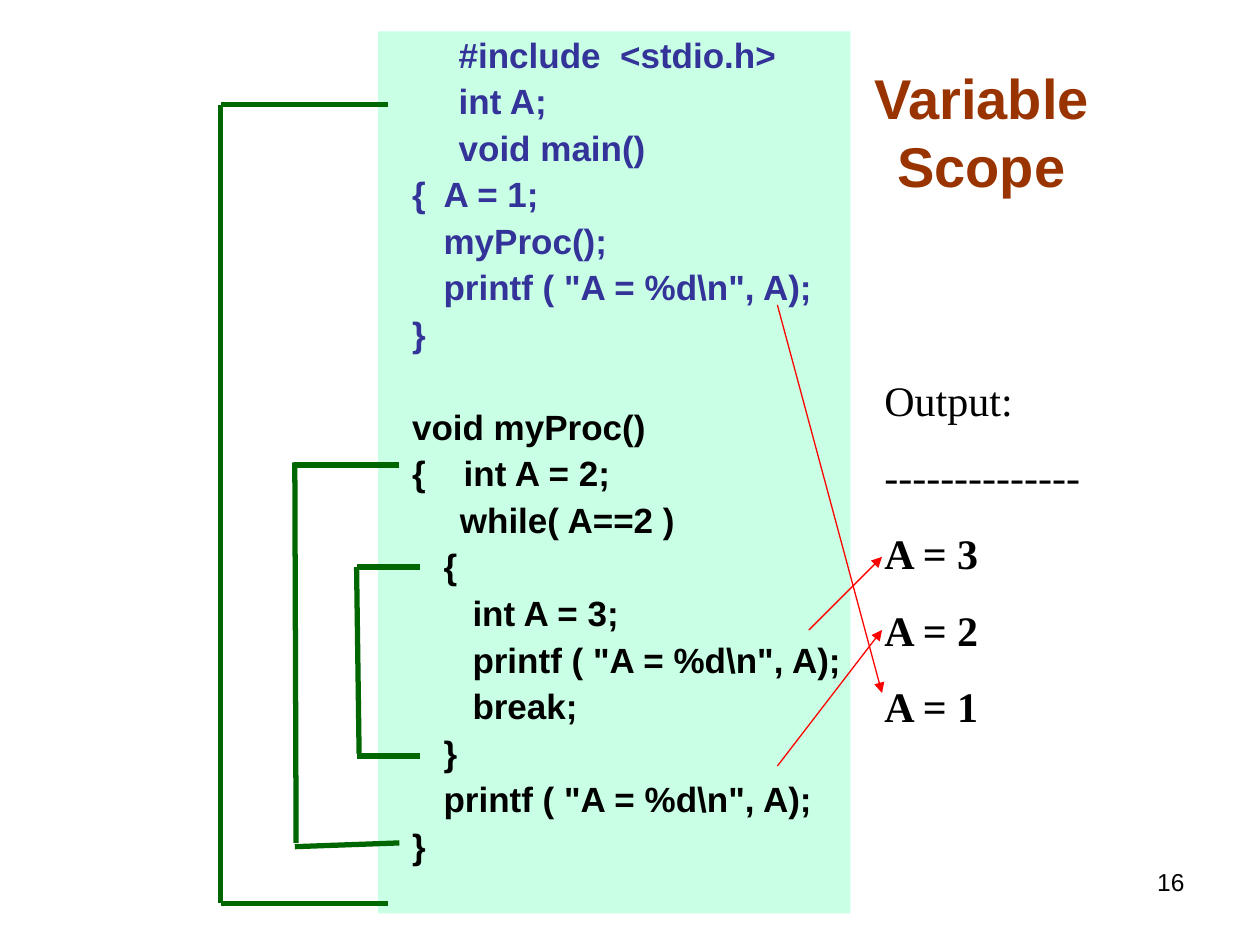
from lxml import etree
from pptx import Presentation
from pptx.dml.color import RGBColor
from pptx.enum.shapes import MSO_CONNECTOR, MSO_SHAPE
from pptx.enum.text import MSO_ANCHOR, MSO_AUTO_SIZE, PP_ALIGN
from pptx.oxml.ns import qn
from pptx.util import Inches, Pt

LEFT, CENTER, RIGHT = PP_ALIGN.LEFT, PP_ALIGN.CENTER, PP_ALIGN.RIGHT
TOP, MIDDLE = MSO_ANCHOR.TOP, MSO_ANCHOR.MIDDLE
NO_FIT = MSO_AUTO_SIZE.NONE
STRAIGHT = MSO_CONNECTOR.STRAIGHT
RECTANGLE = MSO_SHAPE.RECTANGLE

BLACK = RGBColor(0x00, 0x00, 0x00)
INDIGO = RGBColor(0x33, 0x33, 0x99)
RUST = RGBColor(0x99, 0x33, 0x00)
MINT = RGBColor(0xC9, 0xFF, 0xE4)
GREEN = RGBColor(0x00, 0x66, 0x00)
RED = RGBColor(0xFF, 0x00, 0x00)

TITLE = "Variable Scope"
PAGE_NUMBER = "16"
PRINT_LINE = 'printf ( "A = %d\\n", A);'
BRACE_INDENT = 1.0
LINE_GAP, FUNCTION_GAP = 5, 31.6

MAIN_CODE = [
    (1.37, "#include  <stdio.h>"),
    (1.37, "int A;"),
    (1.37, "void main()"),
    (1.25, "{\tA = 1;"),
    (1.25, "myProc();"),
    (1.25, PRINT_LINE),
    (1.0, "}"),
]
PROC_CODE = [
    (1.0, "void myProc()"),
    (1.41, "{\tint A = 2;"),
    (1.38, "while( A==2 )"),
    (1.25, "{"),
    (1.48, "int A = 3;"),
    (1.48, PRINT_LINE),
    (1.48, "break;"),
    (1.25, "}"),
    (1.25, PRINT_LINE),
    (1.0, "}"),
]
OUTPUT = [
    ("Output:", False),
    ("--------------", False),
    ("A = 3", True),
    ("A = 2", True),
    ("A = 1", True),
]
SCOPE_LINES = [
    (1.75, 0.83, 1.75, 7.17),
    (3.08, 0.83, 1.75, 0.83),
    (3.08, 7.17, 1.75, 7.17),
    (2.34, 3.67, 2.35, 6.69),
    (3.17, 3.69, 2.33, 3.69),
    (3.17, 6.69, 2.34, 6.72),
    (2.83, 4.5, 2.85, 5.98),
    (3.33, 4.5, 2.83, 4.5),
    (3.33, 6, 2.83, 6),
]
OUTPUT_ARROWS = [
    (6.17, 2.42, 7, 5.5),
    (6.42, 5, 7, 4.42),
    (6.17, 6.08, 7, 5),
]


def place(box, left, top, width, height, anchor=TOP):
    box.left, box.top = Inches(left), Inches(top)
    box.width, box.height = Inches(width), Inches(height)
    frame = box.text_frame
    frame.word_wrap = True
    frame.auto_size = NO_FIT
    frame.vertical_anchor = anchor
    return frame


def add_paragraph(frame, index, text):
    para = frame.paragraphs[0] if index == 0 else frame.add_paragraph()
    para.text = text
    return para


def format_text(para, size, color, bold=False, font="Arial", align=LEFT):
    para.alignment = align
    for span in para.runs:
        span.font.name = font
        span.font.size = Pt(size)
        span.font.bold = bold
        span.font.color.rgb = color


def indent_code(para, margin, hanging):
    properties = para._p.get_or_add_pPr()
    properties.set("marL", str(Inches(margin)))
    properties.set("indent", str(Inches(-hanging)))
    etree.SubElement(properties, qn("a:buNone"))


def add_line(page, ends, color, width, arrow=False):
    line = page.shapes.add_connector(STRAIGHT, *map(Inches, ends))
    line.line.color.rgb = color
    line.line.width = Pt(width)
    if arrow:
        outline = line.line._get_or_add_ln()
        etree.SubElement(outline, qn("a:tailEnd"), type="triangle")
    etree.SubElement(line.element.spPr, qn("a:effectLst"))


def add_code(frame):
    lines = [(INDIGO, *line) for line in MAIN_CODE]
    lines += [(BLACK, *line) for line in PROC_CODE]
    for index, (color, margin, text) in enumerate(lines):
        para = add_paragraph(frame, index, text)
        para.line_spacing = 0.9
        starts_proc = index == len(MAIN_CODE)
        para.space_before = Pt(FUNCTION_GAP if starts_proc else LINE_GAP)
        indent_code(para, margin, margin - BRACE_INDENT if "\t" in text else 0)
        format_text(para, 20, color, bold=True)


def main():
    deck = Presentation()
    deck.slide_width, deck.slide_height = Inches(10), Inches(7.5)
    page = deck.slides.add_slide(deck.slide_layouts[1])
    title, code = page.placeholders

    panel = page.shapes.add_shape(
        RECTANGLE, Inches(3), Inches(0.25), Inches(3.75), Inches(7))
    panel.shadow.inherit = False
    panel.fill.solid()
    panel.fill.fore_color.rgb = MINT
    panel.line.fill.background()
    title.element.addprevious(panel.element)

    frame = place(title, 6.25, 0.25, 3.08, 1.58, MIDDLE)
    frame.text = TITLE
    format_text(frame.paragraphs[0], 32, RUST, bold=True, align=CENTER)

    add_code(place(code, 2.17, 0.25, 4.83, 6.92))

    output = page.shapes.add_textbox(0, 0, 0, 0)
    frame = place(output, 6.92, 2.92, 3.08, 3.25)
    for index, (text, bold) in enumerate(OUTPUT):
        para = add_paragraph(frame, index, text)
        para.space_before = Pt(15)
        format_text(para, 24, BLACK, bold, "Times New Roman")

    number = page.shapes.add_textbox(0, 0, 0, 0)
    frame = place(number, 7.17, 6.83, 2.33, 0.52)
    frame.text = PAGE_NUMBER
    format_text(frame.paragraphs[0], 14, BLACK, align=RIGHT)

    for ends in SCOPE_LINES:
        add_line(page, ends, GREEN, 3)
    for ends in OUTPUT_ARROWS:
        add_line(page, ends, RED, 0.75, arrow=True)

    deck.save("out.pptx")


if __name__ == "__main__":
    main()
